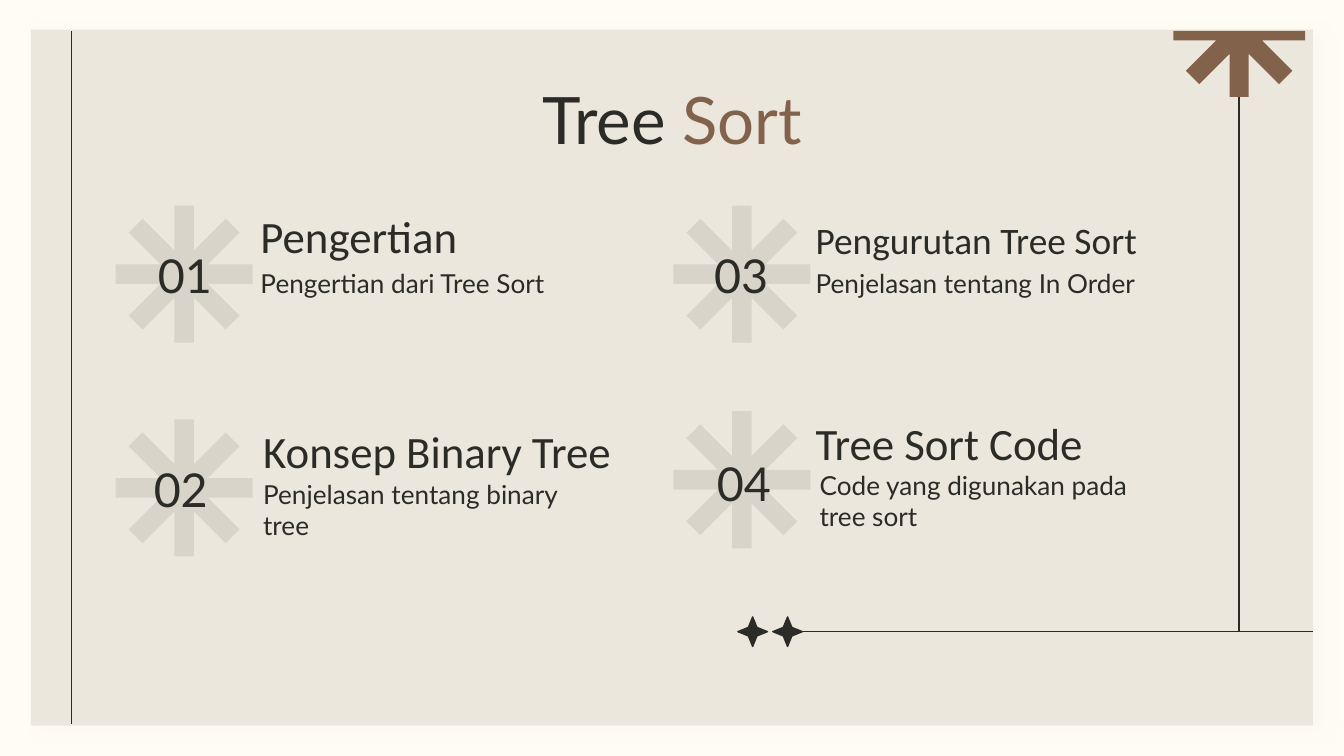
from math import cos, pi, sin

from lxml.etree import SubElement
from pptx import Presentation
from pptx.dml.color import RGBColor
from pptx.enum.shapes import MSO_CONNECTOR as Connector, MSO_SHAPE as Shape
from pptx.enum.text import MSO_ANCHOR as Anchor, PP_ALIGN as Align
from pptx.oxml.ns import qn
from pptx.util import Inches, Pt

COLORS = {
    "page": "FEFCF3",
    "panel": "EBE7DC",
    "ink": "2B2B27",
    "accent": "83624B",
    "pale": "D8D4CA",
}

# Grid: panel edges, asterisk centres and the rails around the content
PANEL_LEFT, PANEL_TOP, PANEL_WIDTH, PANEL_HEIGHT = 0.23, 0.22, 9.54, 5.18
PANEL_RIGHT = PANEL_LEFT + PANEL_WIDTH
COLUMNS = (1.37, 5.52)
TOP_ROW, LEFT_LOW_ROW, RIGHT_LOW_ROW = 2.04, 3.63, 3.57
LEFT_RAIL, RIGHT_RAIL, BOTTOM_RAIL = 0.53, 9.22, 4.7
NUMBER_SIZE, HEADING_HEIGHT, DETAIL_HEIGHT = 0.65, 0.54, 0.63

# Number, asterisk centre, number corner, heading and detail.
# Heading: left, top, width, size, text. Detail: left, top, width, text.
TOPICS = [
    ("01", (COLUMNS[0], TOP_ROW), (1.05, 1.72),
     (1.84, 1.51, 2.56, 24, "Pengertian"),
     (1.84, 1.89, 2.56, "Pengertian dari Tree Sort")),
    ("02", (COLUMNS[0], LEFT_LOW_ROW), (1.02, 3.31),
     (1.86, 3.11, 3.02, 24, "Konsep Binary Tree"),
     (1.86, 3.46, 2.56, "Penjelasan tentang binary tree")),
    ("03", (COLUMNS[1], TOP_ROW), (5.19, 1.72),
     (5.97, 1.51, 2.98, 20, "Pengurutan Tree Sort"),
     (5.97, 1.89, 2.72, "Penjelasan tentang In Order")),
    ("04", (COLUMNS[1], RIGHT_LOW_ROW), (5.21, 3.27),
     (5.97, 3.05, 2.56, 24, "Tree Sort Code"),
     (6.0, 3.39, 2.56, "Code yang digunakan pada tree sort")),
]


def rgb(name):
    return RGBColor.from_string(COLORS[name])


def paint(shape, fill, line=None):
    shape.shadow.inherit = False
    shape.fill.solid()
    shape.fill.fore_color.rgb = rgb(fill)
    if line:
        shape.line.color.rgb = rgb(line)
        shape.line.width = Pt(0.75)
    else:
        shape.line.fill.background()


def add_panel(page):
    panel = page.shapes.add_shape(
        Shape.RECTANGLE, Inches(PANEL_LEFT), Inches(PANEL_TOP),
        Inches(PANEL_WIDTH), Inches(PANEL_HEIGHT))
    paint(panel, "panel")
    # Faint soft shadow
    effects = panel._element.spPr.find(qn("a:effectLst"))
    shadow = SubElement(effects, qn("a:outerShdw"), blurRad=str(Pt(7.9)),
                        dist=str(Pt(6)), dir=str(30 * 60000))
    color = SubElement(shadow, qn("a:srgbClr"), val=COLORS["panel"])
    SubElement(color, qn("a:alpha"), val="17000")


def add_line(page, start, end):
    line = page.shapes.add_connector(
        Connector.STRAIGHT, *(Inches(value) for value in start + end))
    line.line.color.rgb = rgb("ink")
    line.line.width = Pt(0.75)
    SubElement(line._element.spPr, qn("a:effectLst"))


def add_asterisk(page, center, radius, fill, lower_half=False):
    """Draw eight bars around a centre, or only the part below it."""
    half_bar = radius / 7
    notch = half_bar / sin(pi / 8)
    arms = 5 if lower_half else 8
    points = []
    for arm in range(arms):
        angle = arm * pi / 4
        for side in (-half_bar, half_bar):
            points.append((radius * cos(angle) - side * sin(angle),
                           radius * sin(angle) + side * cos(angle)))
        if not lower_half or arm < arms - 1:
            between = angle + pi / 8
            points.append((notch * cos(between), notch * sin(between)))
    if lower_half:
        points = [(x, max(y, 0)) for x, y in points]
    points = [(Inches(center[0] + x), Inches(center[1] + y)) for x, y in points]
    builder = page.shapes.build_freeform(*points[0])
    builder.add_line_segments(points[1:], close=True)
    paint(builder.convert_to_shape(), fill)


def add_star(page, center, size=0.22):
    star = page.shapes.add_shape(
        Shape.STAR_4_POINT, Inches(center[0] - size / 2),
        Inches(center[1] - size / 2), Inches(size), Inches(size))
    star.adjustments[0] = 0.204
    paint(star, "ink", "ink")


def add_text(page, place, spans, size, font="Lato", anchor=Anchor.TOP,
             align=Align.LEFT):
    box = page.shapes.add_textbox(*(Inches(value) for value in place))
    frame = box.text_frame
    frame.word_wrap = True
    frame.vertical_anchor = anchor
    frame.margin_left = frame.margin_right = Inches(0.1)
    frame.margin_top = frame.margin_bottom = Inches(0.1)
    para = frame.paragraphs[0]
    para.alignment = align
    para.font.name = font
    para.font.size = Pt(size)
    for text, color in spans:
        span = para.add_run()
        span.text = text
        span.font.color.rgb = rgb(color)


def add_topic(page, number, center, corner, heading, detail):
    add_asterisk(page, center, 0.51, "pale")
    add_text(page, corner + (NUMBER_SIZE, NUMBER_SIZE), [(number, "ink")], 25,
             anchor=Anchor.MIDDLE, align=Align.CENTER)
    left, top, width, size, text = heading
    add_text(page, (left, top, width, HEADING_HEIGHT), [(text, "ink")],
             size, "Calibri", Anchor.BOTTOM)
    left, top, width, text = detail
    add_text(page, (left, top, width, DETAIL_HEIGHT), [(text, "ink")], 14)


def main():
    # Wide 16:9 page
    deck = Presentation()
    deck.slide_width = Inches(10)
    deck.slide_height = deck.slide_width * 9 // 16
    page = deck.slides.add_slide(deck.slide_layouts[6])
    page.background.fill.solid()
    page.background.fill.fore_color.rgb = rgb("page")

    # Panel with its rails and corner ornament
    add_panel(page)
    add_line(page, (RIGHT_RAIL, 0.23), (RIGHT_RAIL, BOTTOM_RAIL))
    add_line(page, (LEFT_RAIL, 0.23), (LEFT_RAIL, 5.39))
    add_asterisk(page, (RIGHT_RAIL, 0.23), 0.49, "accent", lower_half=True)

    # Title and topics
    add_text(page, (0.79, 0.49, 8.43, 0.63),
             [("Tree ", "ink"), ("Sort", "accent")], 35, align=Align.CENTER)
    for topic in TOPICS:
        add_topic(page, *topic)

    # Bottom rail ending in two stars
    add_line(page, (PANEL_RIGHT, BOTTOM_RAIL), (5.84, BOTTOM_RAIL))
    for star_x in (5.86, 5.6):
        add_star(page, (star_x, BOTTOM_RAIL))

    deck.save("out.pptx")


if __name__ == "__main__":
    main()
